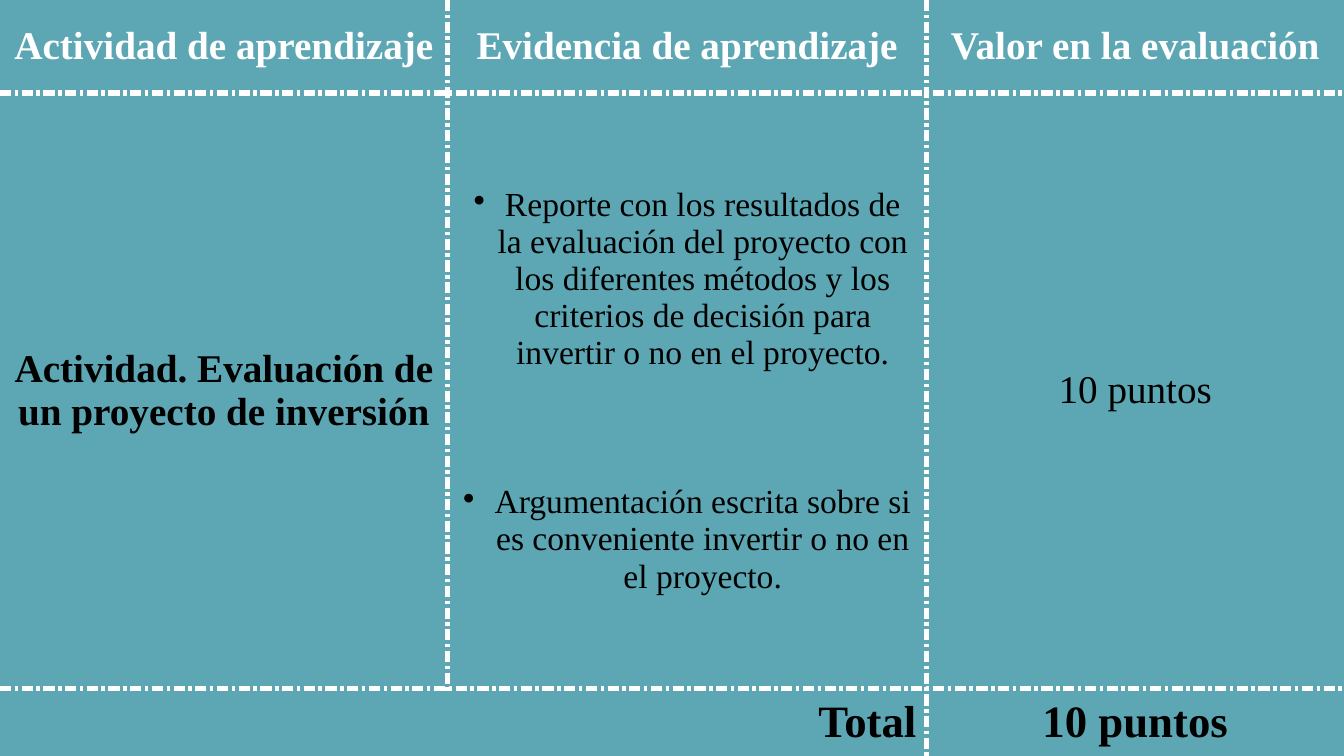
import pptx
import pptx.util
import pptx.dml.color
import pptx.enum.text
import pptx.oxml
import pptx.oxml.ns

Cm, Pt = pptx.util.Cm, pptx.util.Pt
ALIGN = pptx.enum.text.PP_ALIGN
NS = pptx.oxml.ns.nsdecls("a")
WHITE, BLACK, TEAL = "FFFFFF", "000000", "5DA7B4"
COLS = (11.28, 12.07, 10.52)
ROWS = (2.34, 15.01, 1.7)
HEADS = ("Actividad de aprendizaje", "Evidencia de aprendizaje",
         "Valor en la evaluación")
TASK = "Actividad. Evaluación de un proyecto de inversión"
PROOFS = (
    "Reporte con los resultados de la evaluación del proyecto con los "
    "diferentes métodos y los criterios de decisión para invertir o no "
    "en el proyecto.",
    "Argumentación escrita sobre si es conveniente invertir o no en el "
    "proyecto.",
)
POINTS = "10 puntos"


def paint(color, value):
    """Set a colour format from a hex string."""
    color.rgb = pptx.dml.color.RGBColor.from_string(value)


def style(para, size, bold=False, color=BLACK, align=ALIGN.CENTER):
    """Set the font and alignment of a paragraph."""
    para.alignment = align
    font = para.font
    font.name, font.size, font.bold = "Times New Roman", Pt(size), bold
    paint(font.color, color)


def write(cell, text, size, **look):
    """Fill a cell with one styled paragraph."""
    cell.text = text
    style(cell.text_frame.paragraphs[0], size, **look)


def bullet(para):
    """Give a paragraph a hanging round bullet."""
    props = para._p.get_or_add_pPr()
    props.set("marL", str(Cm(0.79)))
    props.set("indent", str(-Cm(0.79)))
    mark = f'<a:buChar {NS} char="•"/>'
    props.insert_element_before(pptx.oxml.parse_xml(mark),
                                "a:tabLst", "a:defRPr", "a:extLst")


def listing(cell, items, size, gap):
    """Fill a cell with spaced bullet items."""
    frame = cell.text_frame
    for i, item in enumerate(items):
        para = frame.add_paragraph() if i else frame.paragraphs[0]
        para.text = item
        style(para, size)
        bullet(para)
        if i:
            para.space_before = Pt(gap)


def border(cell, sides):
    """Draw dashed white borders on the given sides and none elsewhere."""
    props = cell._tc.get_or_add_tcPr()
    for i, side in enumerate("LRTB"):
        body = "<a:noFill/>"
        if side in sides:
            body = (f'<a:solidFill><a:srgbClr val="{WHITE}"/></a:solidFill>'
                    '<a:prstDash val="dashDot"/>')
        line = f'<a:ln{side} {NS} w="{Pt(4.5)}">{body}</a:ln{side}>'
        props.insert(i, pptx.oxml.parse_xml(line))


def inner(row, col):
    """Return the sides of a cell that face another cell."""
    last = row == len(ROWS) - 1
    sides = "T" * (row > 0) + "B" * (not last)
    sides += "L" * (col > 0 and not (last and col == 1))
    return sides + "R" * (col < len(COLS) - 1 and not (last and col == 0))


def grid(slide):
    """Add the empty table with its inner borders."""
    frame = slide.shapes.add_table(len(ROWS), len(COLS), 0, 0,
                                   Cm(sum(COLS)), Cm(sum(ROWS)))
    table = frame.table
    table.first_row = table.horz_banding = False
    for col, width in zip(table.columns, COLS):
        col.width = Cm(width)
    for row, height in zip(table.rows, ROWS):
        row.height = Cm(height)
    for r in range(len(ROWS)):
        for c in range(len(COLS)):
            cell = table.cell(r, c)
            cell.vertical_anchor = pptx.enum.text.MSO_ANCHOR.MIDDLE
            cell.fill.background()
            border(cell, inner(r, c))
    table.cell(2, 0).merge(table.cell(2, 1))
    return table


def main():
    """Build and save the slide."""
    deck = pptx.Presentation()
    deck.slide_width, deck.slide_height = Cm(sum(COLS)), Cm(sum(ROWS))
    slide = deck.slides.add_slide(deck.slide_layouts[6])
    fill = slide.background.fill
    fill.solid()
    paint(fill.fore_color, TEAL)
    table = grid(slide)
    for i, head in enumerate(HEADS):
        write(table.cell(0, i), head, 28, bold=True, color=WHITE)
    write(table.cell(1, 0), TASK, 28, bold=True)
    listing(table.cell(1, 1), PROOFS, 24, 80)
    write(table.cell(1, 2), POINTS, 28)
    write(table.cell(2, 0), "Total", 32, bold=True, align=ALIGN.RIGHT)
    write(table.cell(2, 2), POINTS, 32, bold=True)
    deck.save("out.pptx")


main()
